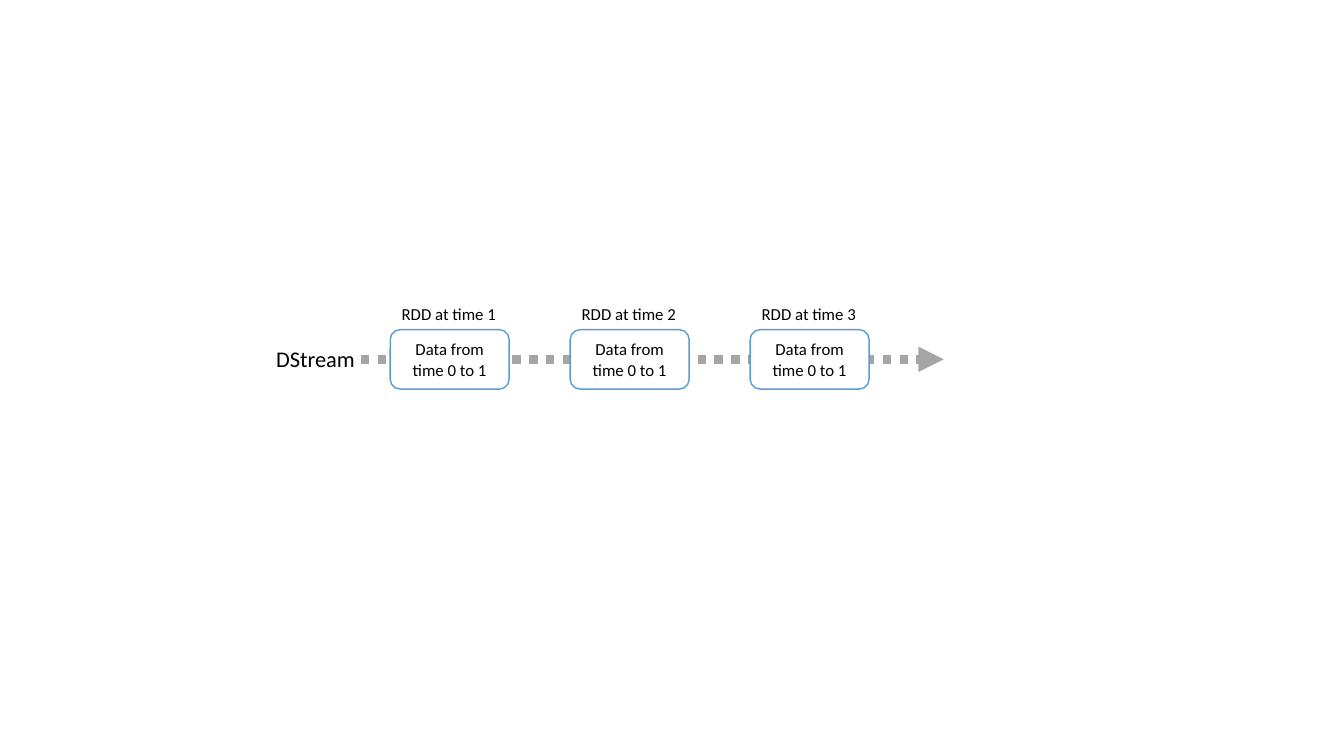
from lxml import etree
from pptx import Presentation
from pptx.dml.color import RGBColor
from pptx.enum.shapes import MSO_CONNECTOR, MSO_SHAPE
from pptx.enum.text import MSO_ANCHOR, MSO_AUTO_SIZE, PP_ALIGN
from pptx.oxml.ns import qn
from pptx.util import Inches, Pt

STRAIGHT = MSO_CONNECTOR.STRAIGHT
BATCH_SHAPE = MSO_SHAPE.FLOWCHART_ALTERNATE_PROCESS
MIDDLE = MSO_ANCHOR.MIDDLE
GROW = MSO_AUTO_SIZE.SHAPE_TO_FIT_TEXT
LEFT, CENTER = PP_ALIGN.LEFT, PP_ALIGN.CENTER

COLORS = {"arrow": "A5A5A5", "border": "5B9BD5", "paper": "FFFFFF", "ink": "000000"}
FONT = "Calibri"
BATCHES = [
    ("RDD at time 1", "Data from time 0 to 1"),
    ("RDD at time 2", "Data from time 0 to 1"),
    ("RDD at time 3", "Data from time 0 to 1"),
]

# Stream diagram, in inches
DIAGRAM = (2.64, 2.96, 6.72, 0.9)
NAME_WIDTH, NAME_HEIGHT = 0.99, 0.37
LABEL_WIDTH, LABEL_HEIGHT = 1.15, 0.3
BATCH_WIDTH, BATCH_HEIGHT = 1.18, 0.59
BATCH_OFFSET, BATCH_PITCH = 1.23, 1.785
ARROW_OFFSET = 0.94


def color(name):
    return RGBColor.from_string(COLORS[name])


def write(shape, text, size, align):
    para = shape.text_frame.paragraphs[0]
    para.alignment = align
    span = para.add_run()
    span.text = text
    span.font.name = FONT
    span.font.size = Pt(size)
    span.font.color.rgb = color("ink")


def add_label(page, box, text, size):
    label = page.shapes.add_textbox(*map(Inches, box))
    label.text_frame.word_wrap = False
    label.text_frame.auto_size = GROW
    write(label, text, size, LEFT)


def add_batch(page, box, text):
    batch = page.shapes.add_shape(BATCH_SHAPE, *map(Inches, box))
    batch.shadow.inherit = False
    batch.fill.solid()
    batch.fill.fore_color.rgb = color("paper")
    batch.line.color.rgb = color("border")
    batch.line.width = Pt(1)
    batch.text_frame.word_wrap = True
    batch.text_frame.vertical_anchor = MIDDLE
    write(batch, text, 12, CENTER)


def add_time_arrow(page, start, end, y):
    arrow = page.shapes.add_connector(
        STRAIGHT, Inches(start), Inches(y), Inches(end), Inches(y))
    arrow.line.color.rgb = color("arrow")
    arrow.line.width = Pt(6)
    # Dots, arrowhead and no shadow
    outline = arrow.line._get_or_add_ln()
    etree.SubElement(outline, qn("a:prstDash"), val="sysDot")
    etree.SubElement(outline, qn("a:tailEnd"), type="triangle")
    etree.SubElement(arrow._element.spPr, qn("a:effectLst"))


def add_stream(page, box):
    left, top, width, height = box
    batch_top = top + height - BATCH_HEIGHT
    axis = batch_top + BATCH_HEIGHT / 2

    # Time axis behind the batches
    add_time_arrow(page, left + ARROW_OFFSET, left + width, axis)
    add_label(page, (left, axis - NAME_HEIGHT / 2, NAME_WIDTH, NAME_HEIGHT),
              "DStream", 16)

    # Batches with their labels above
    for index, (label, content) in enumerate(BATCHES):
        x = left + BATCH_OFFSET + index * BATCH_PITCH
        add_batch(page, (x, batch_top, BATCH_WIDTH, BATCH_HEIGHT), content)
        label_x = x + (BATCH_WIDTH - LABEL_WIDTH) / 2
        add_label(page, (label_x, top, LABEL_WIDTH, LABEL_HEIGHT), label, 12)


def main():
    deck = Presentation()
    deck.slide_width, deck.slide_height = Inches(13.33), Inches(7.5)
    blank_layout = deck.slide_layouts[6]
    page = deck.slides.add_slide(blank_layout)
    add_stream(page, DIAGRAM)
    deck.save("out.pptx")


if __name__ == "__main__":
    main()
